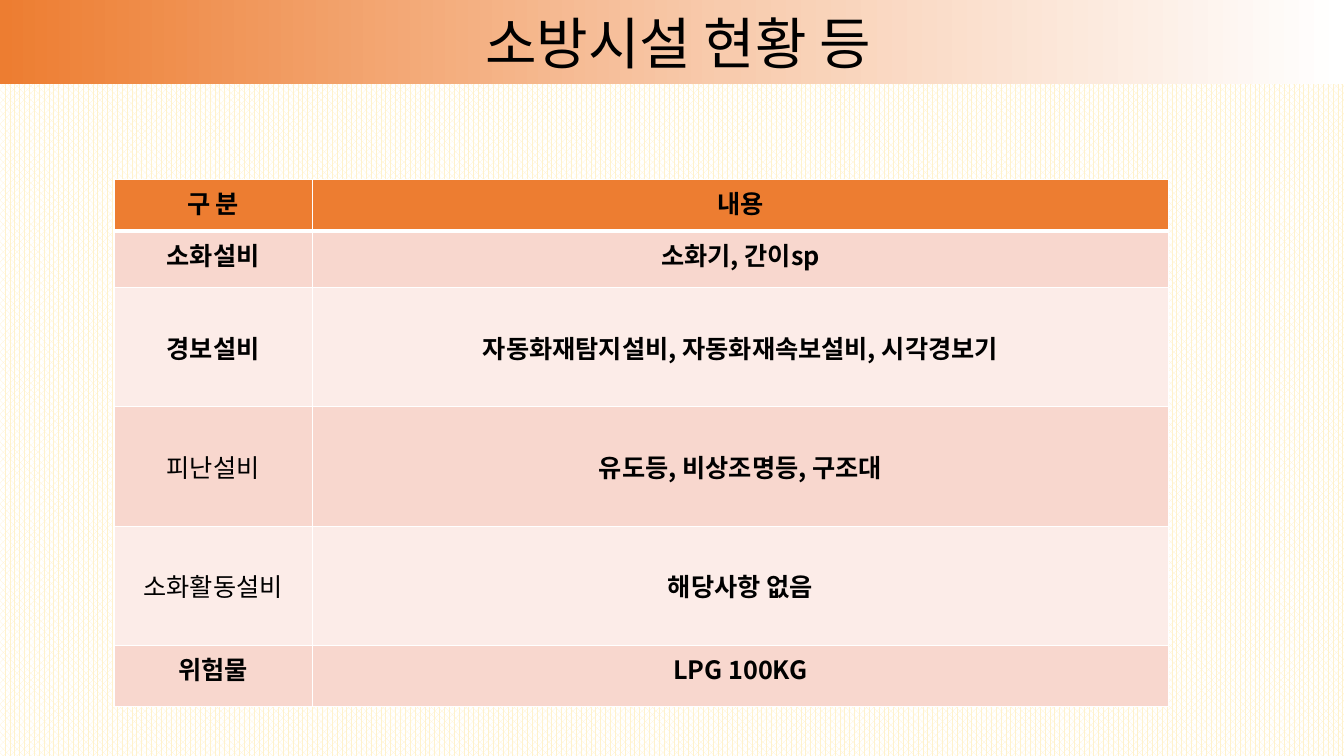
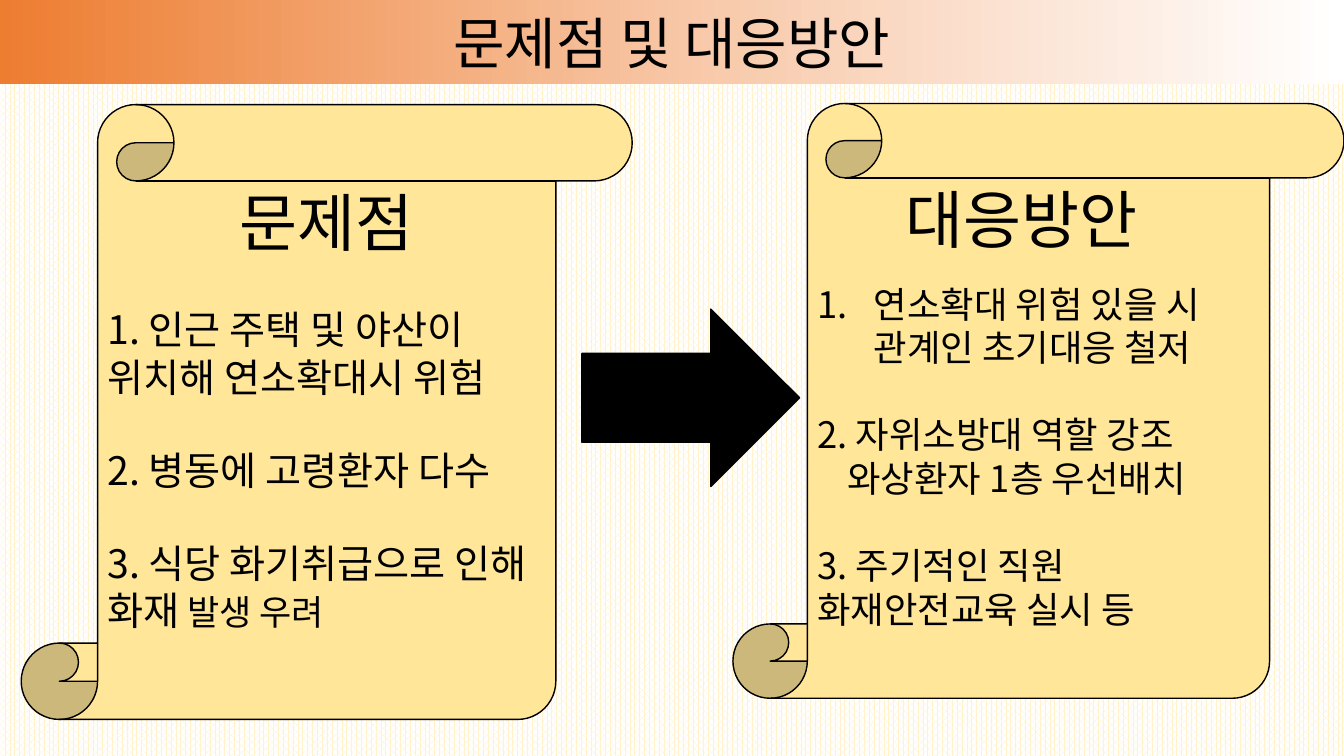
"""Build two slides on fire safety facilities, problems and responses."""
import dataclasses

import lxml.etree
import pptx
import pptx.dml.color
import pptx.enum.dml
import pptx.enum.shapes
import pptx.enum.text
import pptx.oxml.ns
import pptx.util

Pt = pptx.util.Pt
Inches = pptx.util.Inches
RGB = pptx.dml.color.RGBColor.from_string
Align = pptx.enum.text.PP_ALIGN
Anchor = pptx.enum.text.MSO_ANCHOR
Shape = pptx.enum.shapes.MSO_SHAPE
qn = pptx.oxml.ns.qn


@dataclasses.dataclass(frozen=True)
class Theme:
    font: str = "Noto Sans CJK KR"
    ink: str = "000000"
    paper: str = "FFFFFF"
    stripe: str = "FFF2CC"
    accent: str = "ED7D31"
    accent_soft: str = "F8CBAD"
    row_dark: str = "F8D7CE"
    row_light: str = "FCECE8"
    scroll: str = "FFE699"
    title: int = 40
    cell: int = 18
    heading: int = 45
    problem: int = 28
    remark: int = 25
    response: int = 26


theme = Theme()
deck = pptx.Presentation()
deck.slide_width = Inches(13.33)
deck.slide_height = Inches(7.5)


def area(left, top, width, height):
    """Turn percentages of the slide into lengths."""
    across, down = deck.slide_width / 100, deck.slide_height / 100
    return [round(n) for n in (left * across, top * down, width * across, height * down)]


def write(para, text, size, bold=False, align=Align.LEFT, before=0,
          margin=0, hanging=0, numbered=False):
    """Add a formatted span to a paragraph and format the paragraph."""
    para.alignment = align
    para.line_spacing = 1.0
    para.space_before = Pt(before)
    props = para._p.get_or_add_pPr()
    props.set("marL", str(Inches(margin)))
    props.set("indent", str(Inches(-hanging)))
    if numbered:
        lxml.etree.SubElement(props, qn("a:buAutoNum"), type="arabicPeriod")
    span = para.add_run()
    span.text = text
    span.font.size = Pt(size)
    span.font.bold = bold
    span.font.name = theme.font
    span.font.color.rgb = RGB(theme.ink)
    span.font._element.set("kern", "0")
    lxml.etree.SubElement(span.font._element, qn("a:ea"), typeface=theme.font)


backdrop = deck.slide_master.background.fill
backdrop.patterned()
backdrop.pattern = pptx.enum.dml.MSO_PATTERN.PERCENT_70
backdrop.fore_color.rgb = RGB(theme.stripe)
backdrop.back_color.rgb = RGB(theme.paper)

pages = []
for title, title_margin in (("소방시설 현황 등", 0.12), ("문제점 및 대응방안", 0)):
    page = deck.slides.add_slide(deck.slide_layouts[5])
    band = page.shapes.title
    band.left, band.top, band.width, band.height = area(0, 0, 100, 11.15)
    band.fill.gradient()
    band.fill.gradient_angle = 180
    stops = band._element.spPr.find(".//" + qn("a:gsLst"))
    stops.clear()
    for share, colour in ((0, theme.paper), (46, theme.accent_soft), (100, theme.accent)):
        stop = lxml.etree.SubElement(stops, qn("a:gs"), pos=str(share * 1000))
        lxml.etree.SubElement(stop, qn("a:srgbClr"), val=colour)
    frame = band.text_frame
    frame.auto_size = pptx.enum.text.MSO_AUTO_SIZE.NONE
    frame.vertical_anchor = Anchor.MIDDLE
    write(frame.paragraphs[0], title, theme.title, align=Align.CENTER, margin=title_margin)
    pages.append(page)

facility_page, response_page = pages

facilities = [
    ("구 분", "내용", 6.8, True, Anchor.TOP),
    ("소화설비", "소화기, 간이sp", 7.47, True, Anchor.TOP),
    ("경보설비", "자동화재탐지설비, 자동화재속보설비, 시각경보기", 15.8, True, Anchor.MIDDLE),
    ("피난설비", "유도등, 비상조명등, 구조대", 15.8, False, Anchor.MIDDLE),
    ("소화활동설비", "해당사항 없음", 15.8, False, Anchor.MIDDLE),
    ("위험물", "LPG 100KG", 8.1, True, Anchor.TOP),
]
column_shares = (14.75, 63.72)
table_height = sum(facility[2] for facility in facilities)
table = facility_page.shapes.add_table(
    len(facilities), len(column_shares),
    *area(8.48, 23.75, sum(column_shares), table_height)).table
table.first_row = table.horz_banding = False
for column, share in zip(table.columns, column_shares):
    column.width = area(0, 0, share, 0)[2]
for index, (label, content, share, label_bold, anchor) in enumerate(facilities):
    table.rows[index].height = area(0, 0, 0, share)[3]
    if index == 0:
        colour = theme.accent
    else:
        colour = theme.row_dark if index % 2 else theme.row_light
    weights = {"L": 1, "R": 1, "T": 3 if index == 1 else 1, "B": 3 if index == 0 else 1}
    for cell, text, bold in zip(table.rows[index].cells, (label, content), (label_bold, True)):
        for side, weight in weights.items():
            border = lxml.etree.SubElement(
                cell._tc.get_or_add_tcPr(), qn("a:ln" + side), w=str(Pt(weight)))
            solid = lxml.etree.SubElement(border, qn("a:solidFill"))
            lxml.etree.SubElement(solid, qn("a:srgbClr"), val=theme.paper)
        cell.fill.solid()
        cell.fill.fore_color.rgb = RGB(colour)
        cell.vertical_anchor = anchor
        write(cell.text_frame.paragraphs[0], text, theme.cell, bold=bold, align=Align.CENTER)

problems = [
    ("문제점", dict(size=theme.heading, align=Align.CENTER)),
    ("1. 인근 주택 및 야산이 위치해 연소확대시 위험", dict(size=theme.problem, before=33)),
    ("2. 병동에 고령환자 다수", dict(size=theme.problem, before=33)),
    ("3. 식당 화기취급으로 인해 화재", dict(size=theme.problem, before=33)),
]
responses = [
    ("대응방안", dict(size=theme.heading, margin=0.88)),
    ("연소확대 위험 있을 시 관계인 초기대응 철저",
     dict(size=theme.response, before=18, margin=0.56, hanging=0.56, numbered=True)),
    ("2. 자위소방대 역할 강조", dict(size=theme.response, before=31)),
    ("와상환자 1층 우선배치", dict(size=theme.response, margin=0.3)),
    ("3. 주기적인 직원 화재안전교육 실시 등", dict(size=theme.response, before=31)),
]
outlines = [
    (Shape.VERTICAL_SCROLL, (1.58, 13.83, 45.46, 81.33), theme.scroll, problems),
    (Shape.RIGHT_ARROW, (43.29, 40.88, 16.2, 23.47), theme.ink, []),
    (Shape.VERTICAL_SCROLL, (54.54, 13.69, 45.46, 78.67), theme.scroll, responses),
]
for preset, shares, colour, lines in outlines:
    box = response_page.shapes.add_shape(preset, *area(*shares))
    box.shadow.inherit = False
    box.fill.solid()
    box.fill.fore_color.rgb = RGB(colour)
    box.line.color.rgb = RGB(theme.ink)
    box.line.width = Pt(1)
    frame = box.text_frame
    frame.word_wrap = True
    frame.vertical_anchor = Anchor.TOP
    frame.margin_top = Inches(0.03)
    for number, (text, style) in enumerate(lines):
        para = frame.add_paragraph() if number else frame.paragraphs[0]
        write(para, text, **style)
    if lines is problems:
        write(para, " 발생 우려", theme.remark, before=33)

deck.save("out.pptx")
